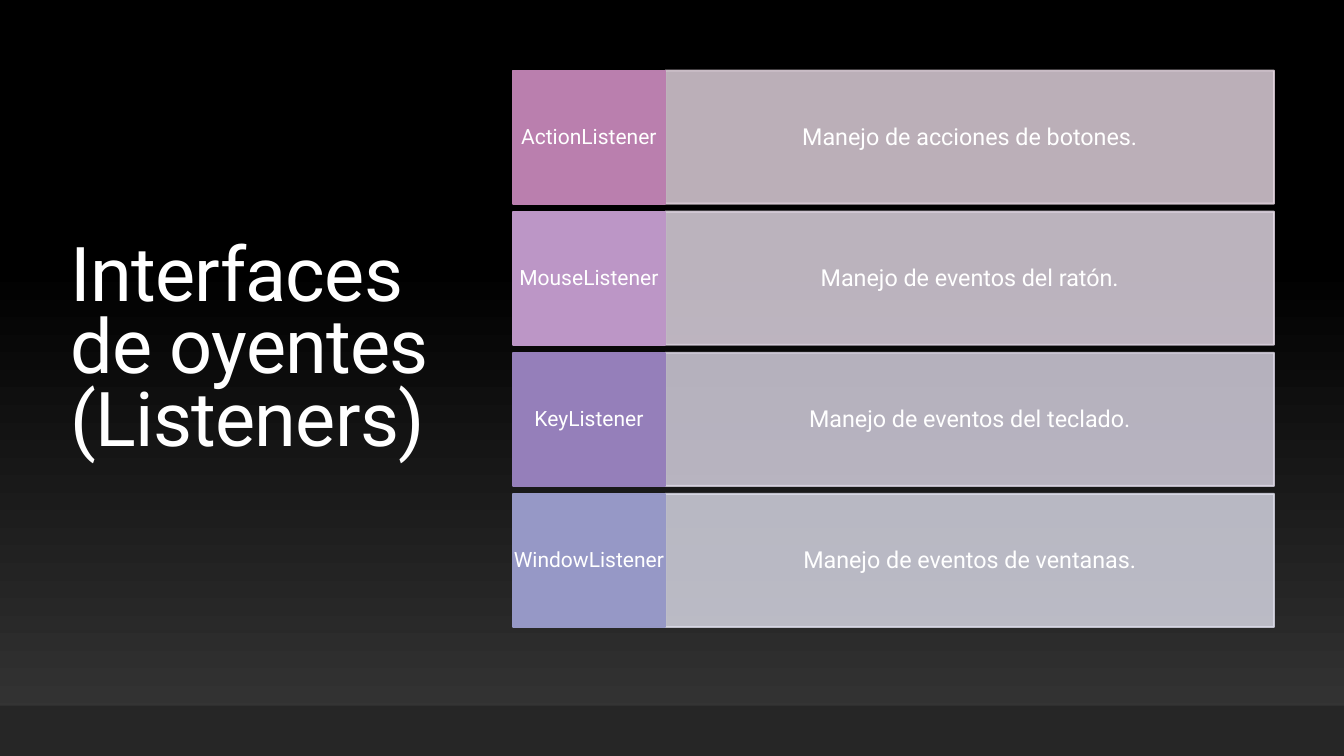
from copy import deepcopy
from dataclasses import dataclass

from lxml.etree import SubElement
from pptx import Presentation
from pptx.dml.color import RGBColor
from pptx.enum.shapes import MSO_CONNECTOR, MSO_SHAPE
from pptx.enum.text import MSO_ANCHOR, PP_ALIGN
from pptx.oxml.ns import qn
from pptx.util import Inches, Pt


@dataclass(frozen=True)
class Theme:
    font: str = "Roboto"
    text: str = "FFFFFF"
    glow: str = "383838"
    dark: str = "000000"
    footer: str = "262626"
    title_size: float = 81
    title_leading: float = 77.8
    title_tracking: int = -80
    name_size: float = 22.5
    name_leading: float = 24.3
    detail_size: float = 25
    detail_leading: float = 27
    border: float = 2
    detail_opacity: int = 81


THEME = Theme()

# Listener name, description, name colour, description colour
LISTENERS = [
    ("ActionListener", "Manejo de acciones de botones.", "BA7FAE", "E7D8E3"),
    ("MouseListener", "Manejo de eventos del ratón.", "BC96C6", "E7DDEA"),
    ("KeyListener", "Manejo de eventos del teclado.", "957FBA", "DDD8E7"),
    ("WindowListener", "Manejo de eventos de ventanas.", "9698C6", "DDDDEA"),
]


def rgb(value):
    return RGBColor.from_string(value)


def write_text(shape, text, size, leading, alignment):
    frame = shape.text_frame
    frame.word_wrap = True
    frame.vertical_anchor = MSO_ANCHOR.MIDDLE
    frame.margin_left = frame.margin_right = frame.margin_top = frame.margin_bottom = 0
    paragraph = frame.paragraphs[0]
    paragraph.alignment = alignment
    paragraph.line_spacing = Pt(leading)
    run = paragraph.add_run()
    run.text = text
    run.font.name = THEME.font
    run.font.size = Pt(size)
    run.font.color.rgb = rgb(THEME.text)
    return run


def add_block(slide, left, top, width, height, color, border=0, opacity=100):
    shape = slide.shapes.add_shape(
        MSO_SHAPE.RECTANGLE, Inches(left), Inches(top), Inches(width), Inches(height))
    shape.shadow.inherit = False
    shape.fill.solid()
    shape.fill.fore_color.rgb = rgb(color)
    if border:
        shape.line.width = Pt(border)
        shape.line.color.rgb = rgb(color)
    else:
        shape.line.fill.background()
    if opacity < 100:
        for element in shape._element.spPr.iter(qn("a:srgbClr")):
            SubElement(element, qn("a:alpha"), val=str(opacity * 1000))
    return shape


def paint_background(slide):
    fill = slide.background.fill
    fill.gradient()
    fill.gradient_angle = 90
    for stop, color, position in zip(fill.gradient_stops, (THEME.glow, THEME.dark), (0, 0.65)):
        stop.color.rgb = rgb(color)
        stop.position = position
    # Hold the dark colour up to the top edge
    last_stop = list(slide._element.iter(qn("a:gs")))[-1]
    top_stop = deepcopy(last_stop)
    top_stop.set("pos", "100000")
    last_stop.addnext(top_stop)


def add_rule(slide, start_x, start_y, end_x, end_y):
    rule = slide.shapes.add_connector(
        MSO_CONNECTOR.STRAIGHT, Inches(start_x), Inches(start_y), Inches(end_x), Inches(end_y))
    rule.line.color.rgb = rgb(THEME.dark)
    rule.line.width = Pt(0.75)
    SubElement(rule._element.spPr, qn("a:effectLst"))


def add_title(slide, left, top, width, height):
    box = slide.shapes.add_textbox(Inches(left), Inches(top), Inches(width), Inches(height))
    run = write_text(box, "Interfaces de oyentes (Listeners)",
                     THEME.title_size, THEME.title_leading, PP_ALIGN.LEFT)
    run.font._element.set("spc", str(THEME.title_tracking))


def add_listener_rows(slide, left, top, width, height, name_width=2.27, gap=0.12):
    row_height = (height - gap * (len(LISTENERS) - 1)) / len(LISTENERS)
    for index, (name, detail, name_color, detail_color) in enumerate(LISTENERS):
        row_top = top + index * (row_height + gap)
        detail_block = add_block(slide, left + name_width, row_top, width - name_width,
                                 row_height, detail_color, THEME.border, THEME.detail_opacity)
        write_text(detail_block, detail, THEME.detail_size, THEME.detail_leading, PP_ALIGN.CENTER)
        name_block = add_block(slide, left, row_top, name_width, row_height,
                               name_color, THEME.border)
        write_text(name_block, name, THEME.name_size, THEME.name_leading, PP_ALIGN.CENTER)


def main():
    presentation = Presentation()
    presentation.slide_width = Inches(20)
    presentation.slide_height = Inches(11.25)
    slide = presentation.slides.add_slide(presentation.slide_layouts[6])

    paint_background(slide)
    add_rule(slide, 1.95, 3.1, 18.32, 3.12)
    add_title(slide, 1.05, 1.17, 5.53, 8.16)
    # Footer band
    add_block(slide, 0, 10.5, 20, 0.75, THEME.footer)
    add_listener_rows(slide, 7.63, 1.05, 11.33, 8.28)

    presentation.save("out.pptx")


if __name__ == "__main__":
    main()
